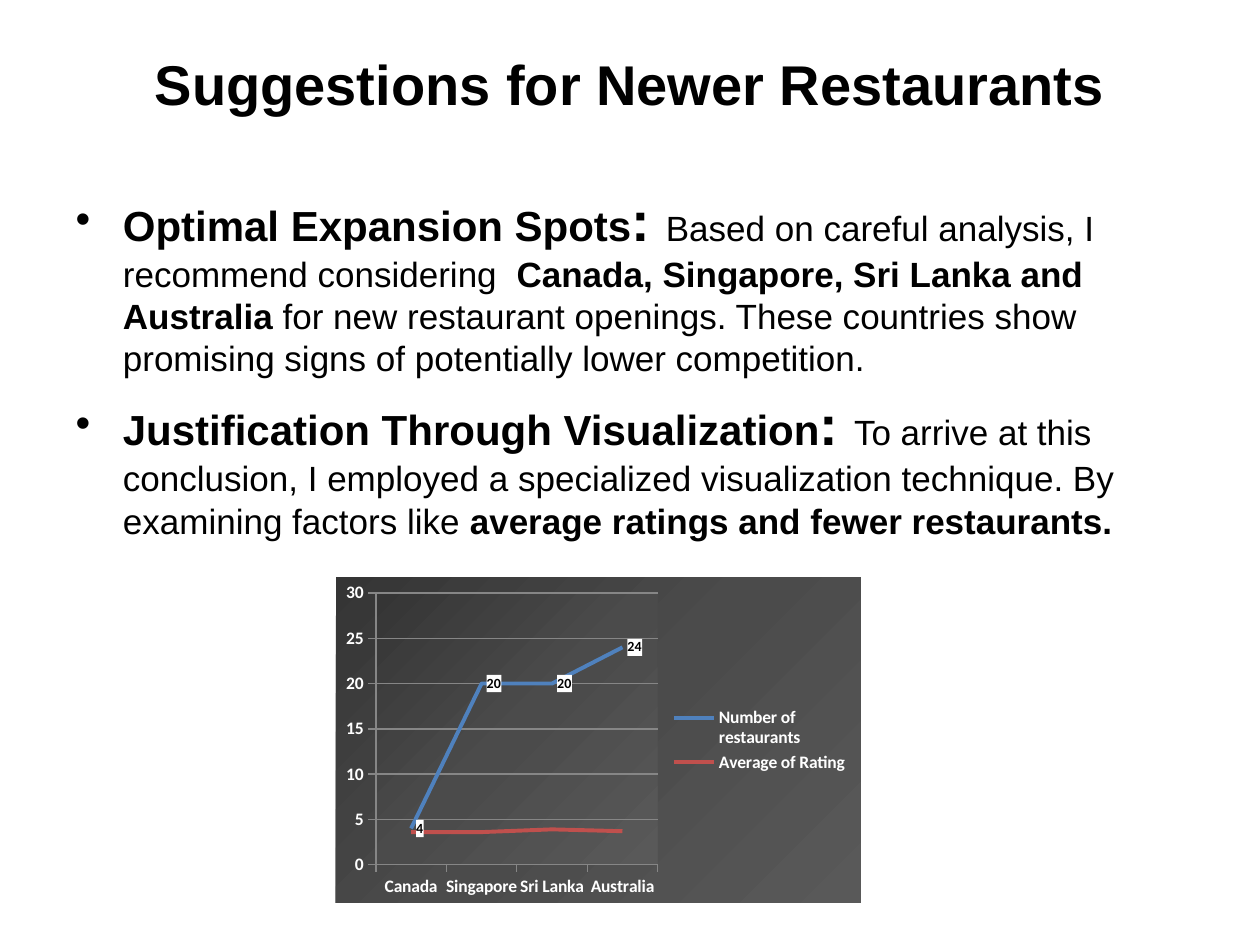
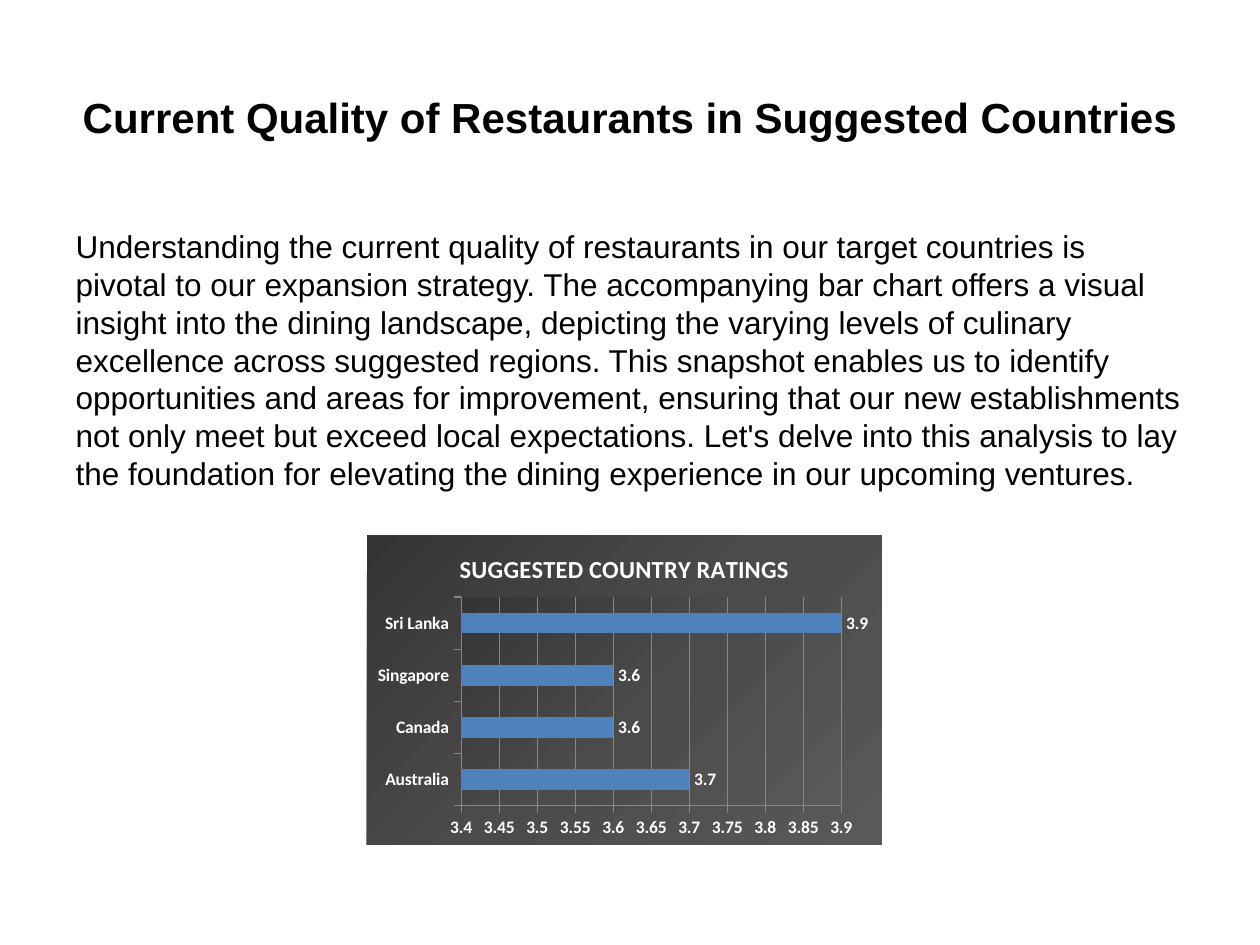
from lxml import etree
from pptx import Presentation
from pptx import util as u
from pptx.chart.data import CategoryChartData
from pptx.dml.color import RGBColor
from pptx.enum import chart as ch, text
from pptx.oxml import parse_xml
from pptx.oxml.ns import nsdecls, qn

COLORS = {
    "ink": "000000", "paper": "FFFFFF", "grid": "868686",
    "blue": "4F81BD", "red": "C0504D",
    "dark": "353535", "mid": "4B4B4B", "light": "595959",
}
PX = 914400 / 126
HEAD, COLON, BODY = 24, 32, 20


def px(n):
    return u.Emu(round(n * PX))


def rgb(name):
    return RGBColor.from_string(COLORS[name])


def sppr(fill):
    return parse_xml(f"<c:spPr {nsdecls('c', 'a')}>{fill}</c:spPr>")


def solid(name):
    return f'<a:solidFill><a:srgbClr val="{COLORS[name]}"/></a:solidFill>'


def gradient():
    stops = "".join(
        f'<a:gs pos="{pos}"><a:srgbClr val="{COLORS[name]}"/></a:gs>'
        for pos, name in ((0, "dark"), (50000, "mid"), (100000, "light")))
    return (f'<a:gradFill><a:gsLst>{stops}</a:gsLst>'
            '<a:lin ang="2700000" scaled="0"/></a:gradFill><a:ln><a:noFill/></a:ln>')


class Deck:
    def __init__(self):
        self.prs = Presentation()
        self.prs.slide_width, self.prs.slide_height = px(1260), px(945)

    def slide(self):
        self.s = self.prs.slides.add_slide(self.prs.slide_layouts[1])
        self.s.background.fill.solid()
        self.s.background.fill.fore_color.rgb = rgb("paper")

    def font(self, font, size=None, bold=None, color="ink", name="Arial"):
        font.name, font.bold = name, bold
        font.color.rgb = rgb(color)
        if size:
            font.size = u.Pt(size)

    def place(self, sp, x, y, w, h):
        sp.left, sp.top, sp.width, sp.height = map(px, (x, y, w, h))
        tf = sp.text_frame
        tf.word_wrap = True
        tf.auto_size = text.MSO_AUTO_SIZE.NONE
        return tf

    def title(self, words, size, lift=0):
        tf = self.place(self.s.shapes.title, 63, 38, 1134, 157)
        tf.vertical_anchor = text.MSO_ANCHOR.MIDDLE
        tf.margin_bottom = px(6 + lift)
        p = tf.paragraphs[0]
        p.text, p.alignment = words, text.PP_ALIGN.CENTER
        self.font(p.font, size, True)

    def body(self, top):
        return self.place(self.s.placeholders[1], 63, top, 1134, 624)

    def bullets(self, top, items):
        tf = self.body(top)
        for i, runs in enumerate(items):
            p = tf.add_paragraph() if i else tf.paragraphs[0]
            self.font(p.font)
            for words, size, bold in runs:
                r = p.add_run()
                r.text, r.font.size, r.font.bold = words, u.Pt(size), bold

    def prose(self, top, words, size):
        p = self.body(top).paragraphs[0]
        p.text = words
        self.font(p.font, size)
        ppr = p._p.get_or_add_pPr()
        ppr.set("marL", "0")
        ppr.set("indent", "0")
        ppr.insert(0, parse_xml(f"<a:buNone {nsdecls('a')}/>"))

    def chart(self, kind, box, plot, cats, series):
        data = CategoryChartData()
        data.categories = cats
        for name, vals in series:
            data.add_series(name, vals)
        chart = self.s.shapes.add_chart(kind, *map(px, box), data).chart
        self.font(chart.font, 10, name="Calibri")
        chart.has_legend = chart.has_title = False
        chart.plots[0].vary_by_categories = False
        chart._chartSpace.chart.addnext(sppr(gradient()))
        area = chart._chartSpace.chart.plotArea
        area.append(sppr(gradient()))
        self.layout(area, box, plot)
        for axis in (chart.category_axis, chart.value_axis):
            self.font(axis.tick_labels.font, 10, True, "paper", "Calibri")
            axis.major_tick_mark = ch.XL_TICK_MARK.OUTSIDE
            axis.minor_tick_mark = ch.XL_TICK_MARK.NONE
            self.line(axis.format.line, "grid", 0.75)
        chart.value_axis.has_major_gridlines = True
        self.line(chart.value_axis.major_gridlines.format.line, "grid", 0.75)
        return chart

    def layout(self, area, box, plot):
        for old in area.findall(qn("c:layout")):
            area.remove(old)
        x, y, w, h = box
        left, top, width, height = plot
        parts = {"x": (left - x) / w, "y": (top - y) / h, "w": width / w, "h": height / h}
        layout = etree.Element(qn("c:layout"))
        manual = etree.SubElement(layout, qn("c:manualLayout"))
        etree.SubElement(manual, qn("c:layoutTarget")).set("val", "inner")
        for mode in ("xMode", "yMode"):
            etree.SubElement(manual, qn("c:" + mode)).set("val", "edge")
        for key, share in parts.items():
            etree.SubElement(manual, qn("c:" + key)).set("val", f"{share:.3f}")
        area.insert(0, layout)

    def line(self, line, color, width):
        line.color.rgb, line.width = rgb(color), u.Pt(width)

    def labels(self, series, position, size, color):
        labels = series.data_labels
        labels.show_value, labels.position = True, position
        self.font(labels.font, size, True, color, "Calibri")
        return labels


def suggestions(deck):
    deck.slide()
    deck.title("Suggestions for Newer Restaurants", 32, lift=68)
    deck.bullets(179, [
        [("Optimal Expansion Spots", HEAD, True), (": ", COLON, True),
         ("Based on careful analysis, I recommend considering ", BODY, False),
         (" Canada, Singapore, Sri Lanka and  Australia", BODY, True),
         (" for new restaurant openings. These countries show promising signs "
          "of potentially lower competition.", BODY, False)],
        [("Justification Through Visualization", HEAD, True), (": ", COLON, True),
         ("To arrive at this conclusion, I employed a specialized visualization "
          "technique. By examining factors like ", BODY, False),
         ("average ratings and fewer restaurants.", BODY, True)],
    ])
    chart = deck.chart(
        ch.XL_CHART_TYPE.LINE, (336, 577, 525, 326), (376, 593, 282, 272),
        ["Canada", "Singapore", "Sri Lanka", "Australia"],
        [("Number of restaurants", (4, 20, 20, 24)),
         ("Average of Rating", (3.6, 3.6, 3.9, 3.7))])
    for series, color in zip(chart.series, ("blue", "red")):
        series.smooth = False
        series.marker.style = ch.XL_MARKER_STYLE.NONE
        deck.line(series.format.line, color, 2.25)
    labels = deck.labels(chart.series[0], ch.XL_LABEL_POSITION.RIGHT, 8, "ink")
    labels._element.find(qn("c:txPr")).addprevious(sppr(solid("paper")))
    axis = chart.value_axis
    axis.minimum_scale, axis.maximum_scale, axis.major_unit = 0, 30, 5
    chart.has_legend = True
    chart.legend.position = ch.XL_LEGEND_POSITION.RIGHT
    chart.legend.include_in_layout = False
    deck.font(chart.legend.font, 10, True, "paper", "Calibri")


def quality(deck):
    deck.slide()
    deck.title("Current Quality of Restaurants in Suggested Countries", 24)
    deck.prose(221, (
        "Understanding the current quality of restaurants in our target countries is "
        "pivotal to our expansion strategy. The accompanying bar chart offers a visual "
        "insight into the dining landscape, depicting the varying levels of culinary "
        "excellence across suggested regions. This snapshot enables us to identify "
        "opportunities and areas for improvement, ensuring that our new establishments "
        "not only meet but exceed local expectations. Let's delve into this analysis to "
        "lay the foundation for elevating the dining experience in our upcoming "
        "ventures."), 18)
    chart = deck.chart(
        ch.XL_CHART_TYPE.BAR_CLUSTERED, (367, 535, 515, 310), (461, 597, 380, 209),
        ["Australia", "Canada", "Singapore", "Sri Lanka"],
        [("Series 1", (3.7, 3.6, 3.6, 3.9))])
    chart.plots[0].gap_width = 150
    bars = chart.series[0]
    bars.format.fill.solid()
    bars.format.fill.fore_color.rgb = rgb("blue")
    labels = deck.labels(bars, ch.XL_LABEL_POSITION.OUTSIDE_END, 10, "paper")
    labels.number_format, labels.number_format_is_linked = "#,##0.0", False
    axis = chart.value_axis
    axis.minimum_scale, axis.maximum_scale, axis.major_unit = 3.4, 3.9, 0.05
    chart.has_title = True
    p = chart.chart_title.text_frame.paragraphs[0]
    p.text = "SUGGESTED COUNTRY RATINGS"
    deck.font(p.font, 14, True, "paper", "Calibri")


def main():
    deck = Deck()
    suggestions(deck)
    quality(deck)
    deck.prs.save("out.pptx")


if __name__ == "__main__":
    main()
